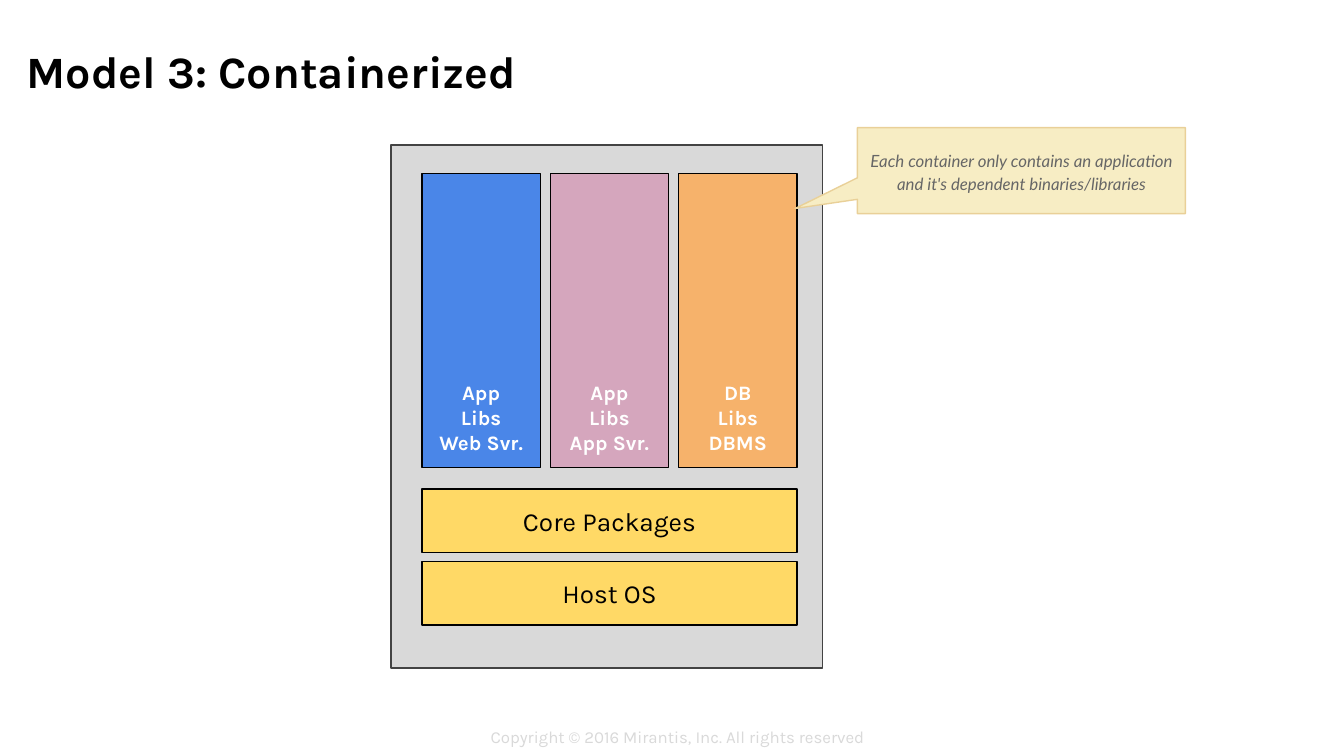
from pptx import Presentation
from pptx.dml.color import RGBColor
from pptx.enum.shapes import MSO_SHAPE as Shape
from pptx.enum.text import MSO_ANCHOR as Anchor, PP_ALIGN as Align
from pptx.util import Inches, Pt

SLIDE_W = 10
SLIDE_H = SLIDE_W * 9 / 16
TITLE = "Model 3: Containerized"
COPYRIGHT = "Copyright © 2016 Mirantis, Inc. All rights reserved"
NOTE = "Each container only contains an application and it's dependent binaries/libraries"
CONTAINERS = [
    (["App", "Libs", "Web Svr."], "4A86E8"),
    (["App", "Libs", "App Svr."], "D5A6BD"),
    (["DB", "Libs", "DBMS"], "F6B26B"),
]
HOST_LAYERS = ["Core Packages", "Host OS"]

HOST = (2.91, 1.08, 3.21, 3.89)
STACK_LEFT, STACK_W = 3.14, 2.79
CONTAINER_TOP, CONTAINER_W, CONTAINER_H = 1.29, 0.88, 2.19
LAYER_TOP, LAYER_H, LAYER_PITCH = 3.64, 0.47, 0.54


def rgb(color):
    return RGBColor.from_string(color)


def write(box, lines, size, color, font="Karla", bold=False, italic=False,
          align=Align.CENTER, anchor=Anchor.MIDDLE, spacing=None, inset=(0.1, 0.1)):
    frame = box.text_frame
    frame.word_wrap = True
    frame.vertical_anchor = anchor
    frame.margin_left = frame.margin_right = Inches(inset[0])
    frame.margin_top = frame.margin_bottom = Inches(inset[1])
    for index, line in enumerate(lines):
        paragraph = frame.paragraphs[0] if index == 0 else frame.add_paragraph()
        paragraph.alignment = align
        if spacing:
            paragraph.line_spacing = spacing
        run = paragraph.add_run()
        run.text = line
        run.font.name, run.font.size = font, Pt(size)
        run.font.bold, run.font.italic = bold, italic
        run.font.color.rgb = rgb(color)


def add_box(shapes, place, fill, line="000000", kind=Shape.RECTANGLE):
    box = shapes.add_shape(kind, *map(Inches, place))
    box.shadow.inherit = False
    box.fill.solid()
    box.fill.fore_color.rgb = rgb(fill)
    box.line.color.rgb = rgb(line)
    box.line.width = Pt(0.75)
    return box


deck = Presentation()
deck.slide_width, deck.slide_height = Inches(SLIDE_W), Inches(SLIDE_H)
slide = deck.slides.add_slide(deck.slide_layouts[6])

footer = slide.shapes.add_textbox(*map(Inches, (2.74, 5.33, 4.6, 0.33)))
write(footer, [COPYRIGHT], 9, "D9D9D9", anchor=Anchor.TOP)
title = slide.shapes.add_textbox(*map(Inches, (0.1, 0, 9.87, 1.05)))
write(title, [TITLE], 24, "000000", bold=True, align=Align.LEFT)

diagram = slide.shapes.add_group_shape().shapes
add_box(diagram, HOST, "D9D9D9", "434343")
for row, layer in enumerate(HOST_LAYERS):
    place = (STACK_LEFT, LAYER_TOP + row * LAYER_PITCH, STACK_W, LAYER_H)
    write(add_box(diagram, place, "FFD966"), [layer], 14, "000000")

container_pitch = (STACK_W - CONTAINER_W) / (len(CONTAINERS) - 1)
for column, (contents, color) in enumerate(CONTAINERS):
    place = (STACK_LEFT + column * container_pitch, CONTAINER_TOP, CONTAINER_W, CONTAINER_H)
    write(add_box(diagram, place, color), contents, 11, "FFFFFF", bold=True, anchor=Anchor.BOTTOM)

callout = add_box(slide.shapes, (6.38, 0.95, 2.44, 0.64), "F7EDC4", "E9D098",
                  Shape.RECTANGULAR_CALLOUT)
callout.adjustments[0], callout.adjustments[1] = -0.69, 0.44
write(callout, [NOTE], 9, "666666", font="Lato", italic=True, spacing=1.15, inset=(0.06, 0.04))

deck.save("out.pptx")
